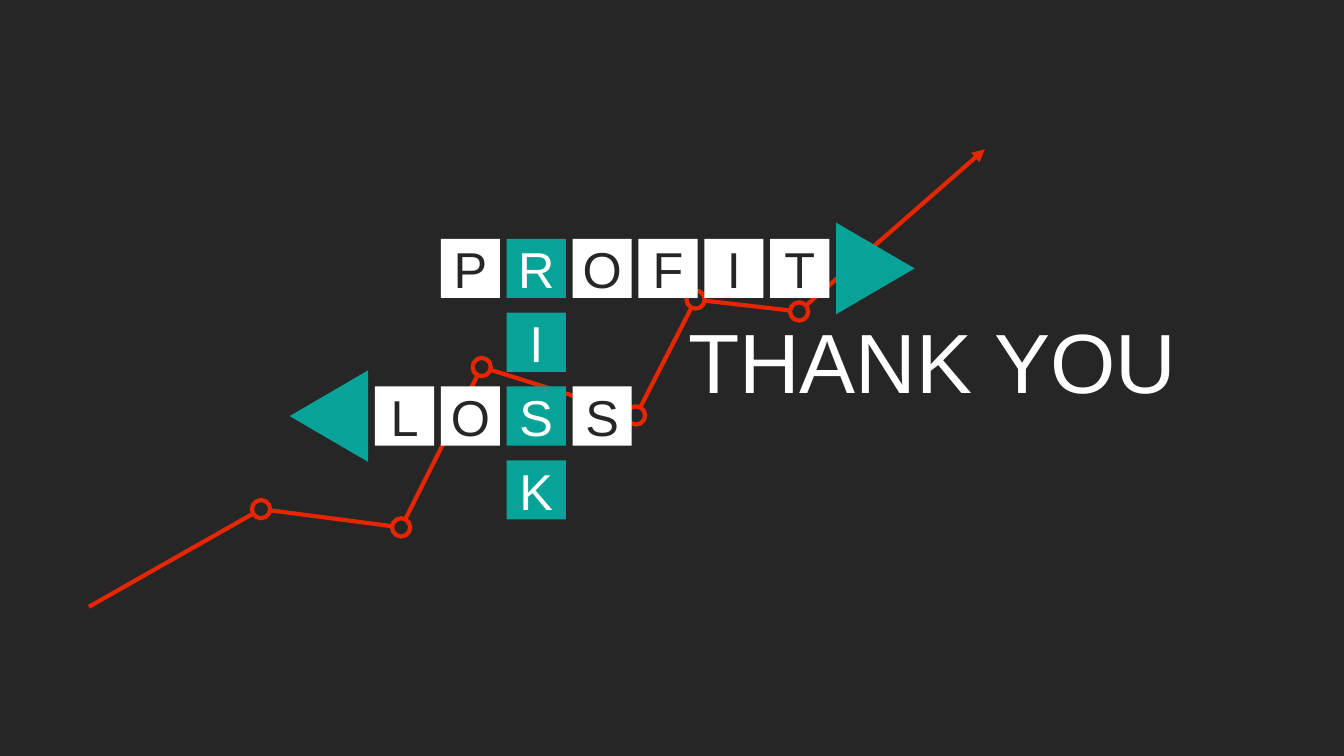
from dataclasses import dataclass
from itertools import pairwise
from math import hypot

from pptx import Presentation
from pptx.dml.color import RGBColor
from pptx.enum.shapes import MSO_CONNECTOR, MSO_SHAPE
from pptx.enum.text import MSO_ANCHOR, MSO_AUTO_SIZE, PP_ALIGN
from pptx.oxml import parse_xml
from pptx.oxml.ns import nsdecls
from pptx.util import Cm, Pt


@dataclass(frozen=True)
class Theme:
    dark: RGBColor = RGBColor(0x26, 0x26, 0x26)
    light: RGBColor = RGBColor(0xFF, 0xFF, 0xFF)
    teal: RGBColor = RGBColor(0x07, 0xA3, 0x98)
    red: RGBColor = RGBColor(0xE6, 0x26, 0x01)
    font: str = "Arial"
    title_size: int = 60
    letter_size: int = 36
    line_width: int = 3


@dataclass(frozen=True)
class Point:
    """Position in centimetres; radius is 0 for a bare line end."""
    x: float
    y: float
    radius: float = 0


@dataclass(frozen=True)
class Word:
    """Crossword entry, placed by its first cell."""
    text: str
    col: int
    row: int
    down: bool = False


THEME = Theme()
TILE, COL_STEP, ROW_STEP = 1.49, 1.66, 1.86
GRID_LEFT, GRID_TOP = 9.45, 6.02
ARROW_BASE, ARROW_HEIGHT = 2.31, 1.98
NODE_RADIUS = 0.23

# The word running down comes first and keeps the cells it shares.
WORDS = [Word("RISK", 2, 0, down=True), Word("PROFIT", 1, 0), Word("LOSS", 0, 2)]

TREND = [
    Point(2.24, 15.29),
    Point(6.58, 12.83, NODE_RADIUS),
    Point(10.11, 13.29, NODE_RADIUS),
    Point(12.14, 9.25, NODE_RADIUS),
    Point(16.03, 10.47, NODE_RADIUS),
    Point(17.53, 7.55, NODE_RADIUS),
    Point(20.14, 7.85, NODE_RADIUS),
    Point(24.82, 3.76),
]


def write_text(sp, text: str, *, size: int, color: RGBColor,
               align: PP_ALIGN = PP_ALIGN.LEFT) -> None:
    tf = sp.text_frame
    tf.vertical_anchor = MSO_ANCHOR.MIDDLE
    p = tf.paragraphs[0]
    p.alignment = align
    r = p.add_run()
    r.text = text
    r.font.name = THEME.font
    r.font.size = Pt(size)
    r.font.color.rgb = color


def add_filled(shapes, kind: MSO_SHAPE, left: float, top: float,
               width: float, height: float, color: RGBColor):
    sp = shapes.add_shape(kind, Cm(left), Cm(top), Cm(width), Cm(height))
    sp.shadow.inherit = False
    sp.fill.solid()
    sp.fill.fore_color.rgb = color
    sp.line.fill.background()
    return sp


def add_node(shapes, node: Point) -> None:
    size = Cm(2 * node.radius)
    sp = shapes.add_shape(MSO_SHAPE.OVAL, Cm(node.x - node.radius),
                          Cm(node.y - node.radius), size, size)
    sp.shadow.inherit = False
    sp.fill.background()
    sp.line.color.rgb = THEME.red
    sp.line.width = Pt(THEME.line_width)


def rim_toward(point: Point, other: Point) -> tuple[Cm, Cm]:
    """Return where the line to the other point leaves this point's circle."""
    dx, dy = other.x - point.x, other.y - point.y
    share = point.radius / hypot(dx, dy)
    return Cm(point.x + share * dx), Cm(point.y + share * dy)


def add_segment(shapes, start: Point, end: Point):
    line = shapes.add_connector(MSO_CONNECTOR.STRAIGHT,
                                *rim_toward(start, end), *rim_toward(end, start))
    line.line.color.rgb = THEME.red
    line.line.width = Pt(THEME.line_width)
    line._element.spPr.append(parse_xml(f"<a:effectLst {nsdecls('a')}/>"))
    return line


def add_trend(slide) -> None:
    shapes = slide.shapes.add_group_shape().shapes
    for node in TREND:
        if node.radius:
            add_node(shapes, node)
    segments = [add_segment(shapes, a, b) for a, b in pairwise(TREND)]
    segments[-1].line._get_or_add_ln().append(
        parse_xml(f'<a:tailEnd {nsdecls("a")} type="triangle"/>'))


def add_title(slide) -> None:
    sp = slide.shapes.add_textbox(Cm(17.09), Cm(7.67), Cm(13.26), Cm(2.82))
    sp.text_frame.word_wrap = True
    sp.text_frame.auto_size = MSO_AUTO_SIZE.SHAPE_TO_FIT_TEXT
    write_text(sp, "THANK YOU", size=THEME.title_size, color=THEME.light)


def add_tile(shapes, letter: str, col: int, row: int, accent: bool) -> None:
    fill, ink = (THEME.teal, THEME.light) if accent else (THEME.light, THEME.dark)
    sp = add_filled(shapes, MSO_SHAPE.RECTANGLE, GRID_LEFT + col * COL_STEP,
                    GRID_TOP + row * ROW_STEP, TILE, TILE, fill)
    tf = sp.text_frame
    tf.margin_left = tf.margin_right = tf.margin_top = tf.margin_bottom = 0
    write_text(sp, letter, size=THEME.letter_size, color=ink, align=PP_ALIGN.CENTER)


def add_arrow(shapes, center_x: float, row: int, rotation: int) -> None:
    center_y = GRID_TOP + row * ROW_STEP + TILE / 2
    sp = add_filled(shapes, MSO_SHAPE.ISOSCELES_TRIANGLE, center_x - ARROW_BASE / 2,
                    center_y - ARROW_HEIGHT / 2, ARROW_BASE, ARROW_HEIGHT, THEME.teal)
    sp.rotation = rotation


def add_crossword(slide) -> None:
    shapes = slide.shapes.add_group_shape().shapes
    used = set()
    for word in WORDS:
        for i, letter in enumerate(word.text):
            cell = (word.col, word.row + i) if word.down else (word.col + i, word.row)
            if cell not in used:
                used.add(cell)
                add_tile(shapes, letter, *cell, accent=word.down)
    gap = COL_STEP - TILE
    add_arrow(shapes, GRID_LEFT + 7 * COL_STEP + ARROW_HEIGHT / 2, 0, 90)
    add_arrow(shapes, GRID_LEFT - gap - ARROW_HEIGHT / 2, 2, 270)


def main() -> None:
    prs = Presentation()
    prs.slide_width, prs.slide_height = Cm(33.87), Cm(19.05)
    slide = prs.slides.add_slide(prs.slide_layouts[6])
    slide.background.fill.solid()
    slide.background.fill.fore_color.rgb = THEME.dark
    add_trend(slide)
    add_title(slide)
    add_crossword(slide)
    prs.save("out.pptx")


if __name__ == "__main__":
    main()
